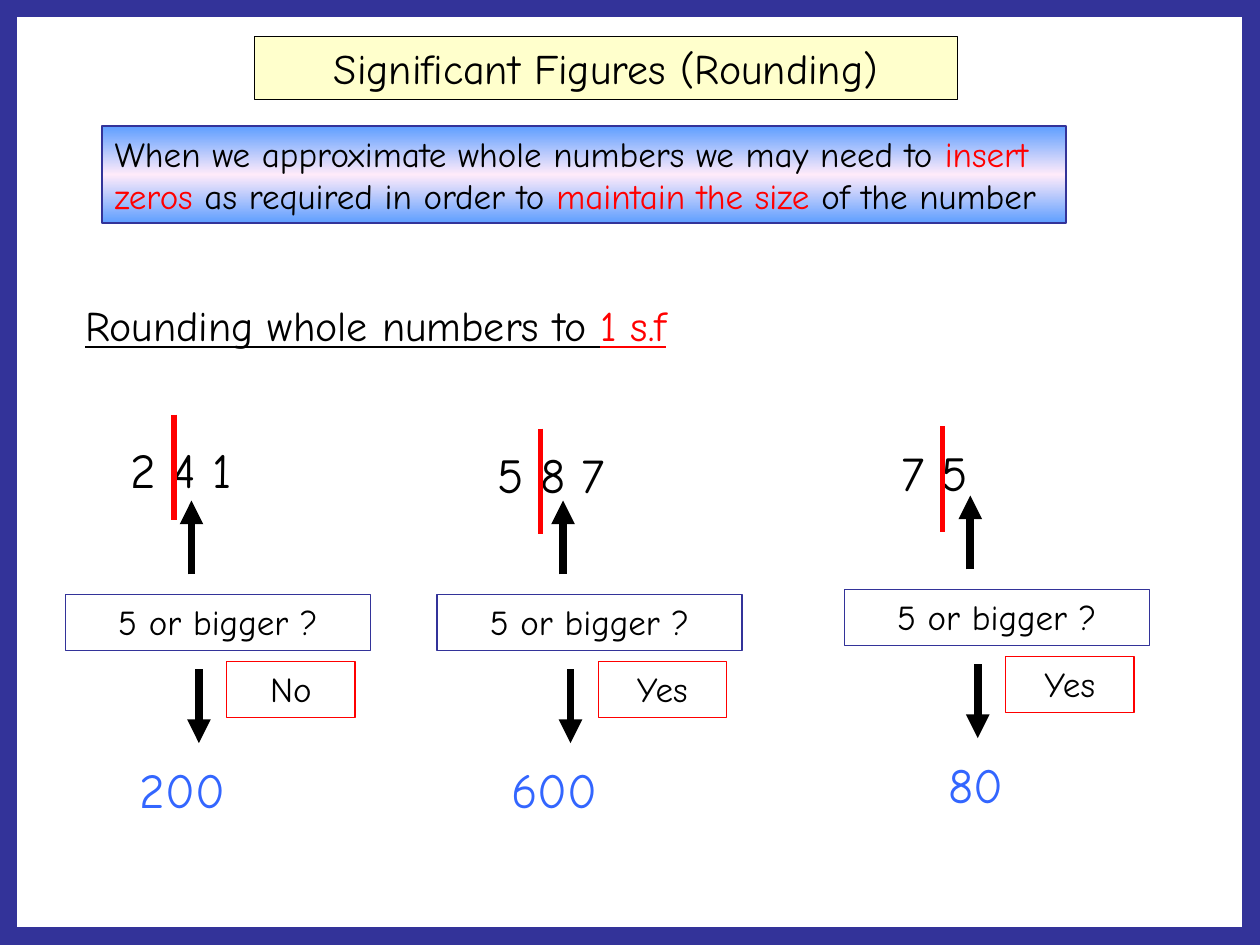
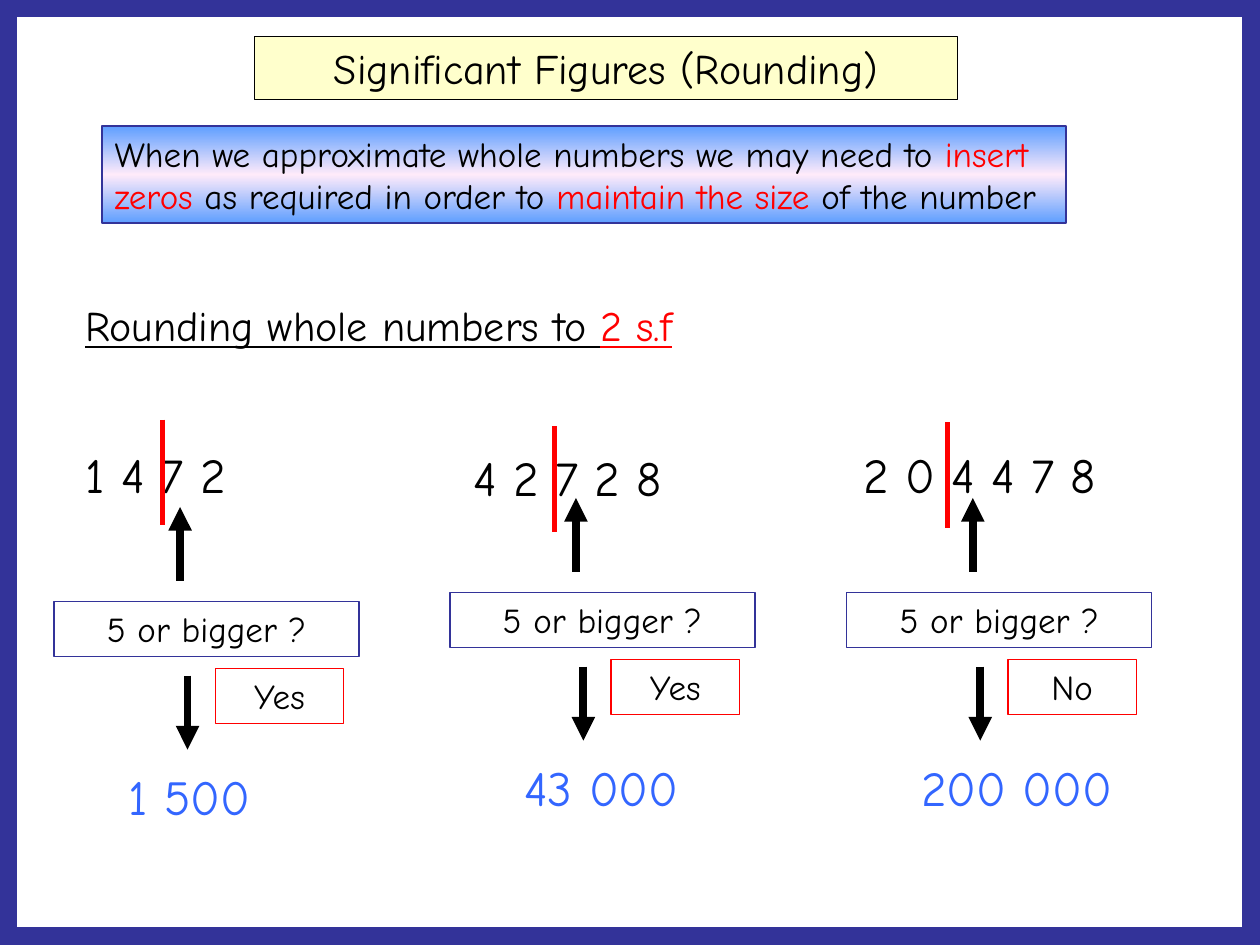
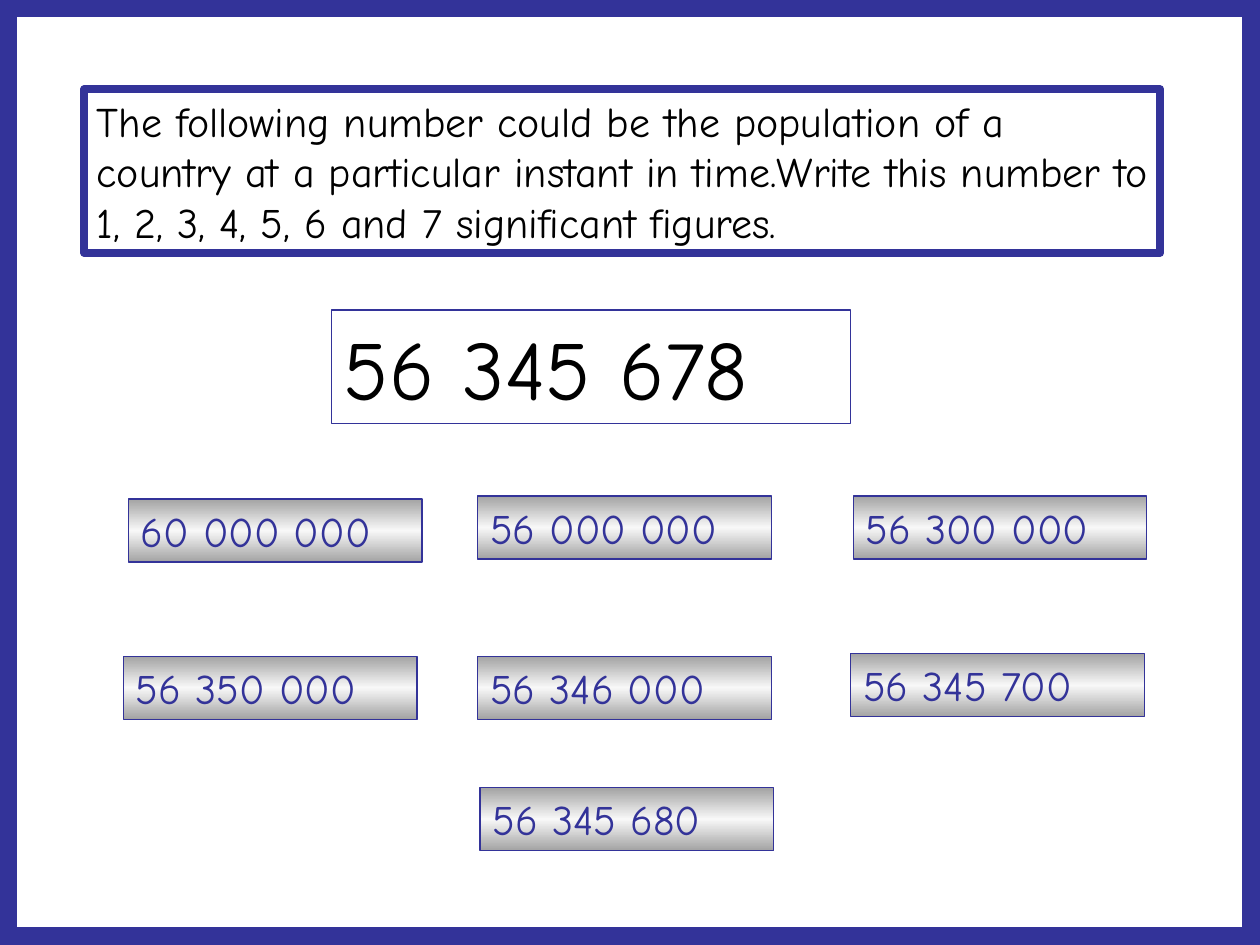
from copy import deepcopy

from lxml import etree
from pptx import Presentation
from pptx.dml.color import RGBColor
from pptx.enum.shapes import MSO_CONNECTOR, MSO_SHAPE
from pptx.enum.text import MSO_ANCHOR, MSO_AUTO_SIZE, PP_ALIGN
from pptx.oxml.ns import qn
from pptx.util import Cm, Pt

RECTANGLE = MSO_SHAPE.RECTANGLE
STRAIGHT = MSO_CONNECTOR.STRAIGHT
TOP = MSO_ANCHOR.TOP
GROW = MSO_AUTO_SIZE.SHAPE_TO_FIT_TEXT
LEFT, CENTER = PP_ALIGN.LEFT, PP_ALIGN.CENTER

FONT = "Comic Neue"
BLACK = RGBColor(0x00, 0x00, 0x00)
RED = RGBColor(0xFF, 0x00, 0x00)
NAVY = RGBColor(0x33, 0x33, 0x99)
BLUE = RGBColor(0x33, 0x66, 0xFF)
CREAM = RGBColor(0xFF, 0xFF, 0xCC)
SKY = RGBColor(0x5E, 0x9E, 0xFF)
PINK = RGBColor(0xFF, 0xEB, 0xFA)
GREY = RGBColor(0xA3, 0xA3, 0xA3)
PALE = RGBColor(0xF8, 0xF8, 0xF8)

WIDTH, HEIGHT = 25.4, 19.05
INSET = 0.25


class Lesson:
    """Holds the deck, the current page and the shared style; lengths in cm."""

    def __init__(self):
        self.deck = Presentation()
        self.deck.slide_width, self.deck.slide_height = Cm(WIDTH), Cm(HEIGHT)
        self.page = None

    def new_page(self):
        self.page = self.deck.slides.add_slide(self.deck.slide_layouts[6])

    def fill_text(self, box, spans, size, align=LEFT, underline=None, indent=0):
        frame = box.text_frame
        frame.word_wrap = True
        frame.auto_size = GROW
        frame.vertical_anchor = TOP
        frame.margin_left = Cm(INSET + indent)
        para = frame.paragraphs[0]
        para.alignment = align
        for text, color in spans:
            span = para.add_run()
            span.text = text
            span.font.name = FONT
            span.font.size = Pt(size)
            span.font.color.rgb = color
            span.font.underline = underline

    def text(self, left, top, width, height, spans, size, **style):
        box = self.page.shapes.add_textbox(Cm(left), Cm(top), Cm(width), Cm(height))
        self.fill_text(box, spans, size, **style)

    def box(self, left, top, width, height, line=NAVY, weight=0.75, fill=None):
        box = self.page.shapes.add_shape(RECTANGLE, Cm(left), Cm(top), Cm(width), Cm(height))
        box.shadow.inherit = False
        box.line.color.rgb = line
        box.line.width = Pt(weight)
        if fill is None:
            box.fill.background()
        else:
            box.fill.solid()
            box.fill.fore_color.rgb = fill
        return box

    def shade(self, box, edge, middle):
        """Fill from edge colour to middle colour and back, top to bottom."""
        box.fill.gradient()
        box.fill.gradient_angle = 90
        stop_list = box.element.spPr.find(".//" + qn("a:gsLst"))
        stop_list.append(deepcopy(stop_list[0]))
        for stop, color, position in zip(box.fill.gradient_stops, (edge, middle, edge), (0, 0.5, 1)):
            stop.color.rgb = color
            stop.position = position

    def line(self, x, start, end, color, weight, arrow=False):
        line = self.page.shapes.add_connector(STRAIGHT, Cm(x), Cm(start), Cm(x), Cm(end))
        line.line.color.rgb = color
        line.line.width = Pt(weight)
        properties = line.element.spPr
        if arrow:
            etree.SubElement(properties.find(qn("a:ln")), qn("a:tailEnd"), type="triangle")
        etree.SubElement(properties, qn("a:effectLst"))

    def heading(self, figures):
        title = self.box(5.13, 0.74, 14.17, 1.27, line=BLACK, fill=CREAM)
        self.fill_text(title, [("Significant Figures (Rounding)", BLACK)], 24, align=CENTER)
        rule = self.box(2.06, 2.54, 19.43, 1.96)
        self.shade(rule, SKY, PINK)
        self.fill_text(rule, [
            ("When we approximate whole numbers we may need to ", BLACK),
            ("insert zeros", RED),
            (" as required in order to ", BLACK),
            ("maintain the size", RED),
            (" of the number", BLACK),
        ], 20)
        self.text(1.47, 5.92, 14.02, 1.27,
                  [("Rounding whole numbers to ", BLACK), (figures, RED)], 24, underline=True)

    def example(self, corner, number, number_at, cut_at, verdict, answer,
                number_indent=0, answer_indent=0.3):
        """One worked rounding, laid out from the corner of its question box."""
        left, top = corner
        self.text(*number_at, 6.15, 1.45, [(number, BLACK)], 28, indent=number_indent)
        cut_x, cut_top = cut_at
        self.line(cut_x, cut_top, cut_top + 2.13, RED, 3)
        question = self.box(left, top, 6.15, 1.12)
        self.fill_text(question, [("5 or bigger ?", BLACK)], 20, align=CENTER)
        self.line(left + 2.54, top - 0.41, top - 1.9, BLACK, 4.5, arrow=True)
        self.line(left + 2.69, top + 1.5, top + 2.99, BLACK, 4.5, arrow=True)
        self.text(left + 0.95, top + 3.2, 5.33, 1.45, [(answer, BLUE)], 28, indent=answer_indent)
        reply = self.box(left + 3.25, top + 1.35, 2.59, 1.12, line=RED)
        self.fill_text(reply, [(verdict, BLACK)], 20, align=CENTER)

    def border(self):
        self.box(0, 0, WIDTH, HEIGHT, weight=20)


def main():
    lesson = Lesson()

    # Rounding to 1 s.f
    lesson.new_page()
    lesson.heading("1 s.f")
    lesson.example((1.32, 11.99), "2 4 1", (2.39, 8.74), (3.51, 8.36), "No", "200")
    lesson.example((8.81, 11.99), "5 8 7", (9.78, 8.84), (10.9, 8.64), "Yes", "600")
    lesson.example((17.02, 11.89), "7 5", (17.93, 8.79), (19, 8.59), "Yes", "80",
                   answer_indent=0.9)
    lesson.border()

    # Rounding to 2 s.f
    lesson.new_page()
    lesson.heading("2 s.f")
    lesson.example((1.09, 12.12), "1 4 7 2", (1.47, 8.84), (3.28, 8.46), "Yes", "1 500")
    lesson.example((9.07, 11.94), "4 2 7 2 8", (8.99, 8.89), (11.18, 8.59), "Yes", "43 000",
                   number_indent=0.3)
    lesson.example((17.07, 11.94), "2 0 4 4 7 8", (17.15, 8.84), (19.1, 8.51), "No", "200 000")
    lesson.border()

    # Population exercise
    lesson.new_page()
    task = lesson.box(1.7, 1.8, 21.69, 3.3, weight=4.5)
    lesson.fill_text(task, [(
        "The following number could be the population of a country at a particular instant "
        "in time.Write this number to 1, 2, 3, 4, 5, 6 and 7 significant figures.", BLACK)], 24)
    population = lesson.box(6.68, 6.25, 10.46, 2.29)
    lesson.fill_text(population, [("56 345 678", BLACK)], 48)
    for left, top, rounded in (
        (2.59, 10.06, "60 000 000"),
        (9.63, 10, "56 000 000"),
        (17.2, 10, "56 300 000"),
        (2.49, 13.23, "56 350 000"),
        (9.63, 13.23, "56 346 000"),
        (17.15, 13.18, "56 345 700"),
        (9.68, 15.88, "56 345 680"),
    ):
        plate = lesson.box(left, top, 5.92, 1.27)
        lesson.shade(plate, GREY, PALE)
        lesson.fill_text(plate, [(rounded, NAVY)], 24)
    lesson.border()

    lesson.deck.save("out.pptx")


if __name__ == "__main__":
    main()
